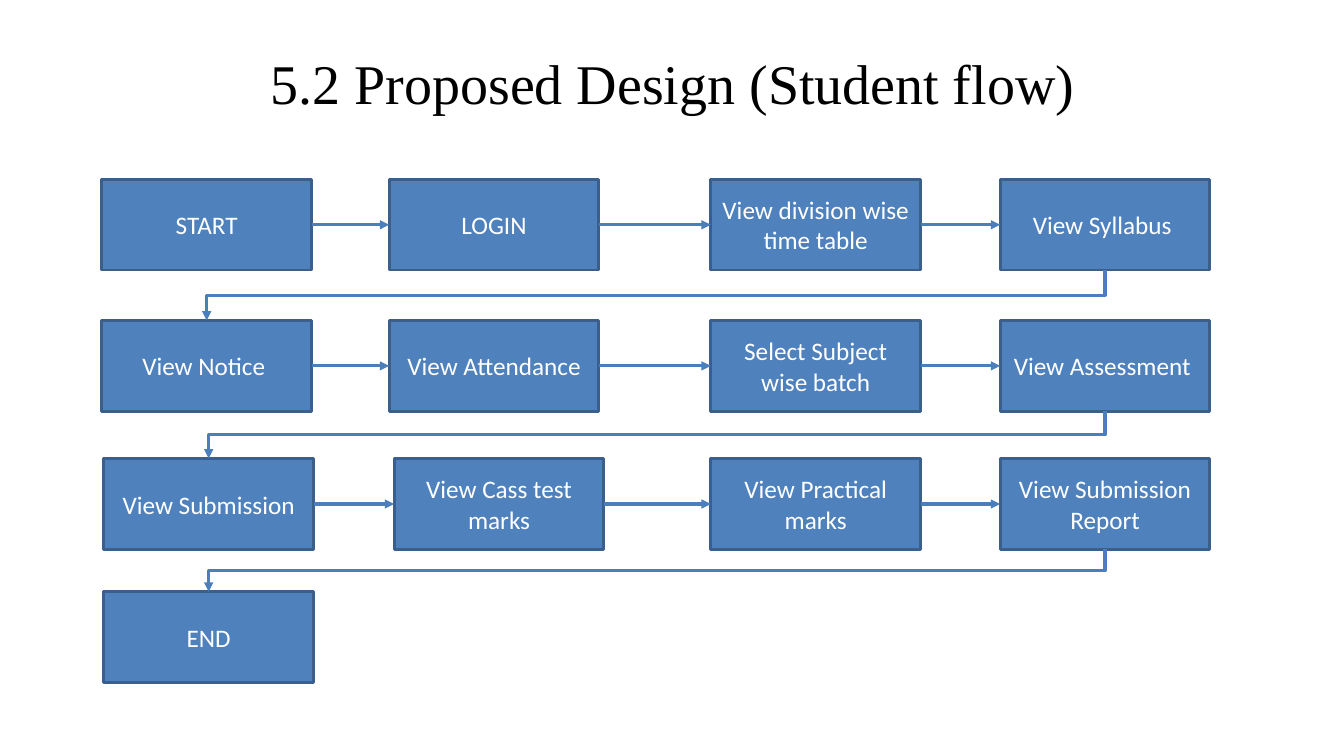
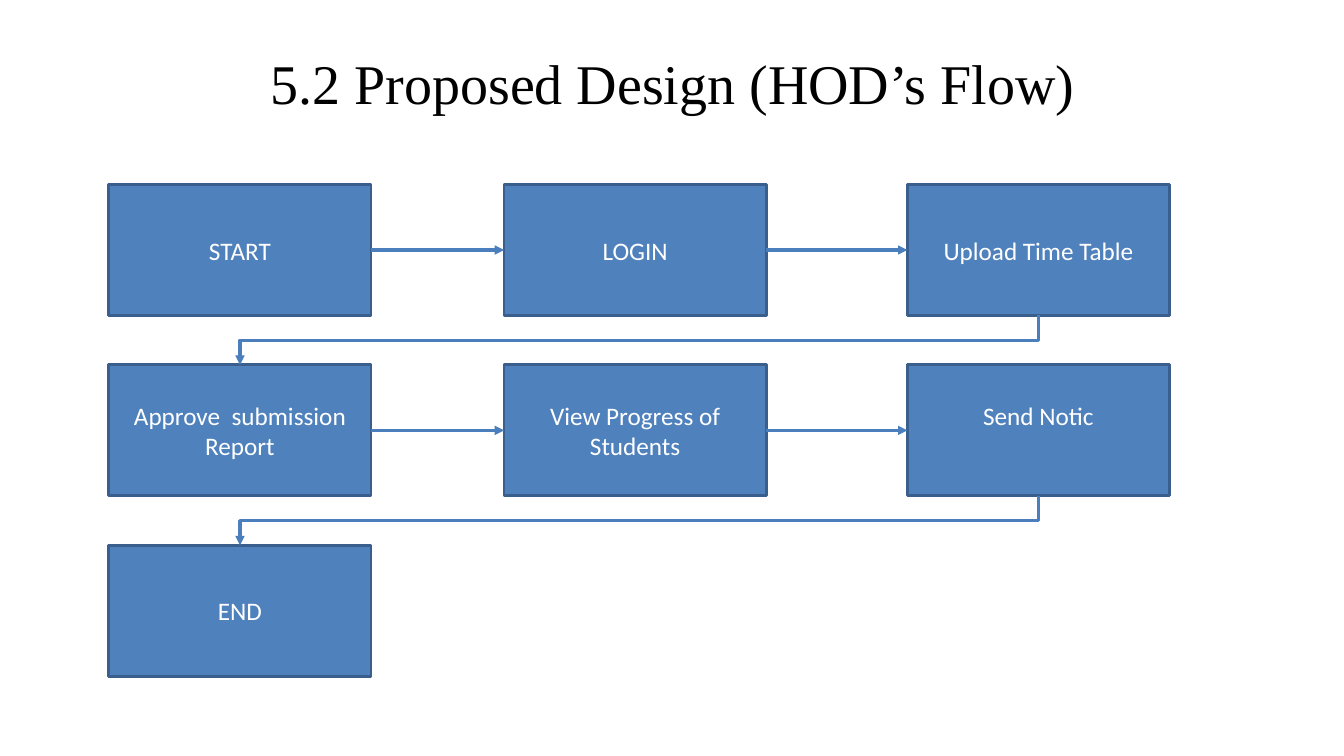
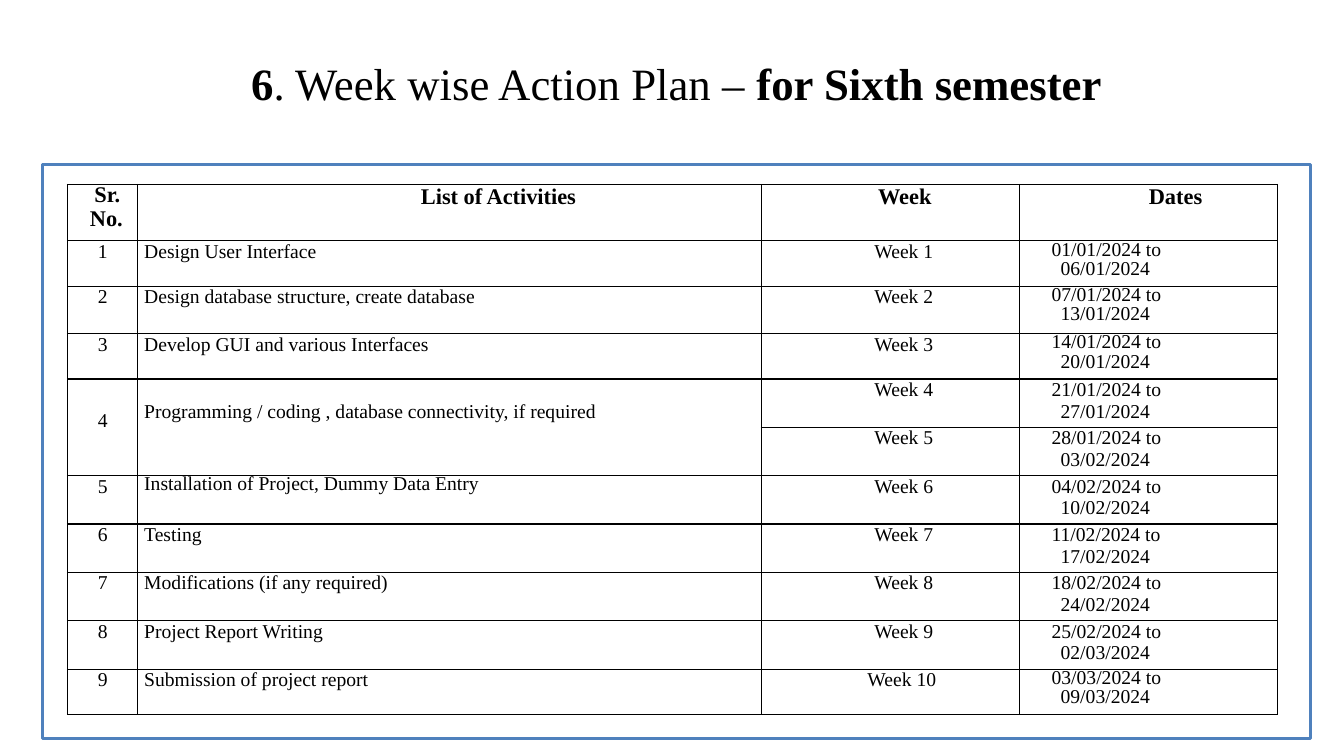
from itertools import pairwise

from lxml.etree import SubElement
from pptx import Presentation
from pptx.dml.color import RGBColor
from pptx.enum.shapes import MSO_CONNECTOR as Connector, MSO_SHAPE as Shape
from pptx.enum.text import MSO_ANCHOR as Anchor, MSO_AUTO_SIZE as AutoSize, PP_ALIGN as Align
from pptx.oxml.ns import qn
from pptx.util import Inches, Pt

BLUE = RGBColor(0x4F, 0x81, 0xBD)
DARK_BLUE = RGBColor(0x3A, 0x5F, 0x8C)
ARROW_BLUE = RGBColor(0x4B, 0x7E, 0xBC)
WHITE = RGBColor(0xFF, 0xFF, 0xFF)
BLACK = RGBColor(0x00, 0x00, 0x00)
SERIF = "Times New Roman"
SANS = "Calibri"
TITLE_ONLY = 5
TOP, LEFT, BOTTOM, RIGHT = range(4)
QUARTER_TURN = "5400000"

FLOWS = [
    {
        "title": "5.2 Proposed Design (Student flow)",
        "box": (2.08, 0.9),
        "rows": [
            (1.78, (1.01, 3.86, 7.05, 9.92),
             ("START", "LOGIN", "View division wise time table", "View Syllabus ")),
            (3.18, (1.01, 3.86, 7.05, 9.92),
             ("View Notice ", "View Attendance", "Select Subject wise batch",
              "View Assessment ")),
            (4.55, (1.03, 3.91, 7.05, 9.92),
             ("View Submission", "View Cass test marks", "View Practical marks",
              "View Submission Report")),
            (5.87, (1.03,), ("END",)),
        ],
        "raised": {},
    },
    {
        "title": "5.2 Proposed Design (HOD’s Flow)",
        "box": (2.6, 1.3),
        "rows": [
            (1.83, (1.08, 5, 9), ("START", "LOGIN", "Upload Time Table")),
            (3.62, (1.08, 5, 9),
             ("Approve  submission Report", "View Progress of Students", "Send Notic")),
            (5.41, (1.08,), ("END",)),
        ],
        "raised": {"Send Notic": 0.35},
    },
]

PLAN_TITLE = [("6", True), (". Week wise Action Plan – ", False), ("for Sixth semester", True)]
PLAN_COLUMNS = [0.69, 6.19, 2.56, 2.56]
PLAN_HEADER = [
    (("Sr.", "No."), (0.1, 0.08)),
    (("List of Activities",), (0.98,)),
    (("Week",), (0.29,)),
    (("Dates",), (0.54,)),
]
HEADER_HEIGHT = 0.56
PLAN_ROWS = [
    (0.45, "1", "Design User Interface", "Week 1", "01/01/2024", "06/01/2024"),
    (0.47, "2", "Design database structure, create database", "Week 2",
     "07/01/2024", "13/01/2024"),
    (0.45, "3", "Develop GUI and various Interfaces", "Week 3", "14/01/2024", "20/01/2024"),
    (0.48, "4", "Programming / coding , database connectivity, if required", "Week 4",
     "21/01/2024", "27/01/2024"),
    (0.48, "", "", "Week 5", "28/01/2024", "03/02/2024"),
    (0.48, "5", "Installation of Project, Dummy Data Entry", "Week 6",
     "04/02/2024", "10/02/2024"),
    (0.48, "6", "Testing", "Week 7", "11/02/2024", "17/02/2024"),
    (0.48, "7", "Modifications (if any required)", "Week 8", "18/02/2024", "24/02/2024"),
    (0.48, "8", "Project Report Writing", "Week 9", "25/02/2024", "02/03/2024"),
    (0.45, "9", "Submission of project report", "Week 10", "03/03/2024", "09/03/2024"),
]
TIGHT_DATE_ROWS = {1, 2, 3, 10}
CODING_ROW = 4
INSTALLATION_ROW = 6


def style_font(font, name, size, color, bold=False):
    font.name = name
    font.size = Pt(size)
    font.color.rgb = color
    font.bold = bold


def add_slide(presentation, title_runs, size, left, width):
    slide = presentation.slides.add_slide(presentation.slide_layouts[TITLE_ONLY])
    title = slide.shapes.title
    title.left, title.top = Inches(left), Inches(0.3)
    title.width, title.height = Inches(width), Inches(1.03)
    frame = title.text_frame
    frame.auto_size = AutoSize.NONE
    frame.vertical_anchor = Anchor.MIDDLE
    paragraph = frame.paragraphs[0]
    paragraph.alignment = Align.CENTER
    style_font(paragraph.font, SERIF, size, BLACK)
    for text, bold in title_runs:
        run = paragraph.add_run()
        run.text = text
        style_font(run.font, SERIF, size, BLACK, bold)
    return slide


def add_rectangle(slide, left, top, width, height, line_color):
    shape = slide.shapes.add_shape(
        Shape.RECTANGLE, Inches(left), Inches(top), Inches(width), Inches(height))
    shape.shadow.inherit = False
    shape.line.color.rgb = line_color
    shape.line.width = Pt(2)
    return shape


def add_step(slide, text, left, top, size, bottom_inset):
    step = add_rectangle(slide, left, top, *size, DARK_BLUE)
    step.fill.solid()
    step.fill.fore_color.rgb = BLUE
    frame = step.text_frame
    frame.word_wrap = True
    frame.vertical_anchor = Anchor.MIDDLE
    frame.margin_bottom = Inches(bottom_inset)
    paragraph = frame.paragraphs[0]
    paragraph.text = text
    paragraph.alignment = Align.CENTER
    style_font(paragraph.font, SANS, 18, WHITE)
    return step


def add_arrow(slide, kind, start, start_side, end, end_side):
    arrow = slide.shapes.add_connector(kind, 0, 0, 0, 0)
    arrow.begin_connect(start, start_side)
    arrow.end_connect(end, end_side)
    arrow.line.color.rgb = ARROW_BLUE
    arrow.line.width = Pt(2.25)
    properties = arrow._element.spPr
    SubElement(properties.find(qn("a:ln")), qn("a:tailEnd"), type="triangle")
    SubElement(properties, qn("a:effectLst"))
    return arrow


def add_return_arrow(slide, start, end):
    arrow = add_arrow(slide, Connector.ELBOW, start, BOTTOM, end, TOP)
    start_x, end_x = start.left + start.width // 2, end.left + end.width // 2
    start_y, end_y = start.top + start.height, end.top
    drop, run = end_y - start_y, start_x - end_x
    transform = arrow._element.spPr.find(qn("a:xfrm"))
    for flip in ("flipH", "flipV"):
        transform.attrib.pop(flip, None)
    transform.set("rot", QUARTER_TURN)
    arrow.left = (start_x + end_x - drop) // 2
    arrow.top = (start_y + end_y - run) // 2
    arrow.width, arrow.height = drop, run


def build_flow(presentation, flow):
    slide = add_slide(presentation, [(flow["title"], False)], 40, 0.67, 12)
    rows = [
        [add_step(slide, text, left, top, flow["box"], flow["raised"].get(text, 0.05))
         for left, text in zip(lefts, labels)]
        for top, lefts, labels in flow["rows"]
    ]
    for row in rows:
        for start, end in pairwise(row):
            add_arrow(slide, Connector.STRAIGHT, start, RIGHT, end, LEFT)
    for upper, lower in pairwise(rows):
        add_return_arrow(slide, upper[-1], lower[0])


def style_cell(cell):
    cell.margin_left = cell.margin_right = cell.margin_top = cell.margin_bottom = 0
    properties = cell._tc.get_or_add_tcPr()
    for side in ("lnL", "lnR", "lnT", "lnB"):
        line = SubElement(properties, qn(f"a:{side}"), w=str(Pt(1)))
        fill = SubElement(line, qn("a:solidFill"))
        SubElement(fill, qn("a:srgbClr"), val=str(BLACK))
    cell.fill.background()


def write_cell(cell, texts, indents, alignment, size=14, bold=False, spacings=(None, None)):
    frame = cell.text_frame
    frame.text = "\n".join(texts)
    for paragraph, indent, spacing in zip(frame.paragraphs, indents, spacings):
        paragraph.alignment = alignment
        paragraph._p.get_or_add_pPr().set("marL", str(Inches(indent)))
        if spacing:
            paragraph.line_spacing = Pt(spacing)
        style_font(paragraph.font, SERIF, size, BLACK, bold)


def build_plan(presentation):
    slide = add_slide(presentation, PLAN_TITLE, 32, 0.42, 12.58)
    add_rectangle(slide, 0.42, 1.63, 12.58, 5.7, BLUE).fill.background()
    heights = [HEADER_HEIGHT] + [row[0] for row in PLAN_ROWS]
    table = slide.shapes.add_table(
        len(heights), len(PLAN_COLUMNS), Inches(0.67), Inches(1.83),
        Inches(sum(PLAN_COLUMNS)), Inches(sum(heights))).table
    table.first_row = table.horz_banding = False
    for column, width in zip(table.columns, PLAN_COLUMNS):
        column.width = Inches(width)
    for row, height in zip(table.rows, heights):
        row.height = Inches(height)
    for cell in table.iter_cells():
        style_cell(cell)

    for column, (texts, indents) in enumerate(PLAN_HEADER):
        spacings = (16.1, None) if len(texts) > 1 else (None,)
        write_cell(table.cell(0, column), texts, indents, Align.CENTER, 16, True, spacings)
    for index, (_, number, activity, week, first, last) in enumerate(PLAN_ROWS, 1):
        number_cell, activity_cell, week_cell, dates_cell = table.rows[index].cells
        if number:
            write_cell(number_cell, [number], [0.01], Align.CENTER)
            spacing = 13.9 if index == INSTALLATION_ROW else None
            write_cell(activity_cell, [activity], [0.07], Align.LEFT, spacings=[spacing])
        week_indent = 0.23 if week == "Week 10" else 0.27
        write_cell(week_cell, [week], [week_indent], Align.CENTER)
        spacing = 13.8 if index in TIGHT_DATE_ROWS else None
        write_cell(dates_cell, [f"{first} to", last], [0.32, 0.41], Align.LEFT,
                   spacings=[spacing, spacing])
    for column, inset in enumerate((0.31, 0.22)):
        cell = table.cell(CODING_ROW, column)
        cell.merge(table.cell(CODING_ROW + 1, column))
        cell.margin_top = Inches(inset)


def main():
    presentation = Presentation()
    presentation.slide_width, presentation.slide_height = Inches(13.33), Inches(7.5)
    for flow in FLOWS:
        build_flow(presentation, flow)
    build_plan(presentation)
    presentation.save("out.pptx")


if __name__ == "__main__":
    main()
